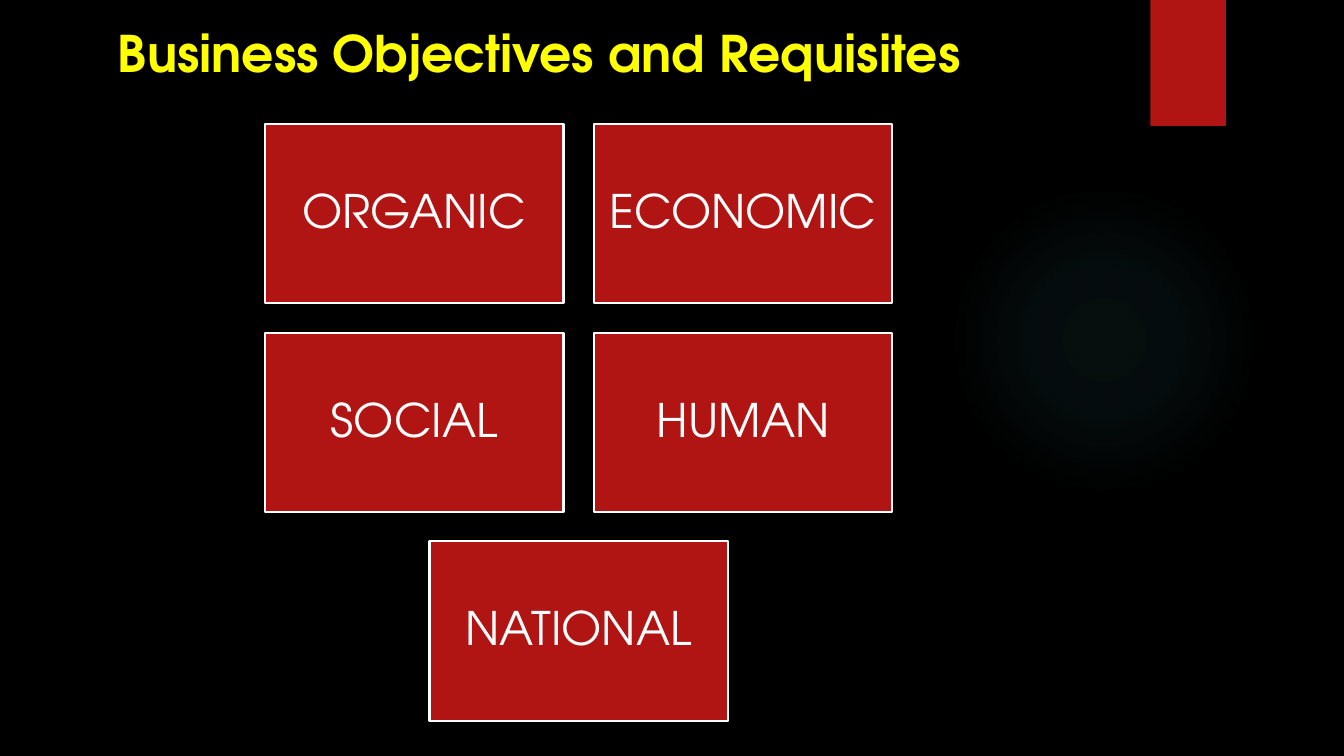
"""Build the Business Objectives and Requisites slide."""
import pptx
import pptx.dml.color
import pptx.enum.shapes
import pptx.enum.text
import pptx.oxml
import pptx.oxml.ns
import pptx.util

Inches = pptx.util.Inches
SHAPES = pptx.enum.shapes.MSO_SHAPE
ALIGN = pptx.enum.text.PP_ALIGN
ANCHOR = pptx.enum.text.MSO_ANCHOR
COLOURS = {"background": "000000", "red": "B01513", "white": "FFFFFF",
           "title": "FFFF00", "glow": "50B9C1"}
FONT = "TeX Gyre Adventor"
OBJECTIVE_ROWS = [["ORGANIC", "ECONOMIC"], ["SOCIAL", "HUMAN"], ["NATIONAL"]]
GLOW_STOPS = [(0, 7), (36, 6), (69, 0)]


def colour(name):
    return pptx.dml.color.RGBColor.from_string(COLOURS[name])


def add_shape(slide, kind, left, top, width, height, fill=None, line=None):
    shape = slide.shapes.add_shape(kind, Inches(left), Inches(top),
                                   Inches(width), Inches(height))
    shape.shadow.inherit = False
    if fill:
        shape.fill.solid()
        shape.fill.fore_color.rgb = colour(fill)
    else:
        shape.fill.background()
    if line:
        shape.line.color.rgb = colour(line)
        shape.line.width = pptx.util.Pt(1.5)
    else:
        shape.line.fill.background()
    return shape


def write_text(shape, text, size, text_colour, bold=False, align=ALIGN.LEFT,
               anchor=ANCHOR.TOP, inset=None, line_spacing=None):
    frame = shape.text_frame
    frame.word_wrap = True
    frame.vertical_anchor = anchor
    if inset is not None:
        frame.margin_left = frame.margin_right = Inches(inset)
        frame.margin_top = frame.margin_bottom = Inches(inset)
    paragraph = frame.paragraphs[0]
    paragraph.alignment = align
    paragraph.line_spacing = line_spacing
    run = paragraph.add_run()
    run.text = text
    run.font.name = FONT
    run.font.size = pptx.util.Pt(size)
    run.font.bold = bold
    run.font.color.rgb = colour(text_colour)


def add_glow(slide):
    glow = add_shape(slide, SHAPES.OVAL, 9.41, 1.83, 3.08, 3.08)
    stops = "".join(
        f'<a:gs pos="{position * 1000}"><a:srgbClr val="{COLOURS["glow"]}">'
        f'<a:alpha val="{alpha * 1000}"/></a:srgbClr></a:gs>'
        for position, alpha in GLOW_STOPS)
    gradient = pptx.oxml.parse_xml(
        f'<a:gradFill {pptx.oxml.ns.nsdecls("a")}><a:gsLst>{stops}</a:gsLst>'
        '<a:path path="circle"><a:fillToRect l="50000" t="50000" r="50000" '
        'b="50000"/></a:path></a:gradFill>')
    properties = glow._element.spPr
    properties.replace(properties.find(pptx.oxml.ns.qn("a:noFill")), gradient)


def add_title(slide, text):
    title = slide.shapes.add_textbox(Inches(1.07), Inches(0.17),
                                     Inches(9.65), Inches(1.06))
    write_text(title, text, size=36, text_colour="title", bold=True)


def add_objectives(slide):
    width, height = 2.96, 1.78
    column_step, row_step = 3.26, 2.07
    centre, top = 5.74, 1.23
    for row, names in enumerate(OBJECTIVE_ROWS):
        first_left = centre - (width + column_step * (len(names) - 1)) / 2
        for column, name in enumerate(names):
            box = add_shape(slide, SHAPES.RECTANGLE,
                            first_left + column * column_step,
                            top + row * row_step, width, height,
                            fill="red", line="white")
            write_text(box, name, size=33, text_colour="white",
                       align=ALIGN.CENTER, anchor=ANCHOR.MIDDLE,
                       inset=0.14, line_spacing=0.9)


def main():
    presentation = pptx.Presentation()
    presentation.slide_width = Inches(13.33)
    presentation.slide_height = Inches(7.5)
    slide = presentation.slides.add_slide(presentation.slide_layouts[6])
    slide.background.fill.solid()
    slide.background.fill.fore_color.rgb = colour("background")
    add_glow(slide)
    add_shape(slide, SHAPES.RECTANGLE, 11.41, 0, 0.75, 1.25, fill="red")
    add_title(slide, "Business Objectives and Requisites")
    add_objectives(slide)
    presentation.save("out.pptx")


if __name__ == "__main__":
    main()
